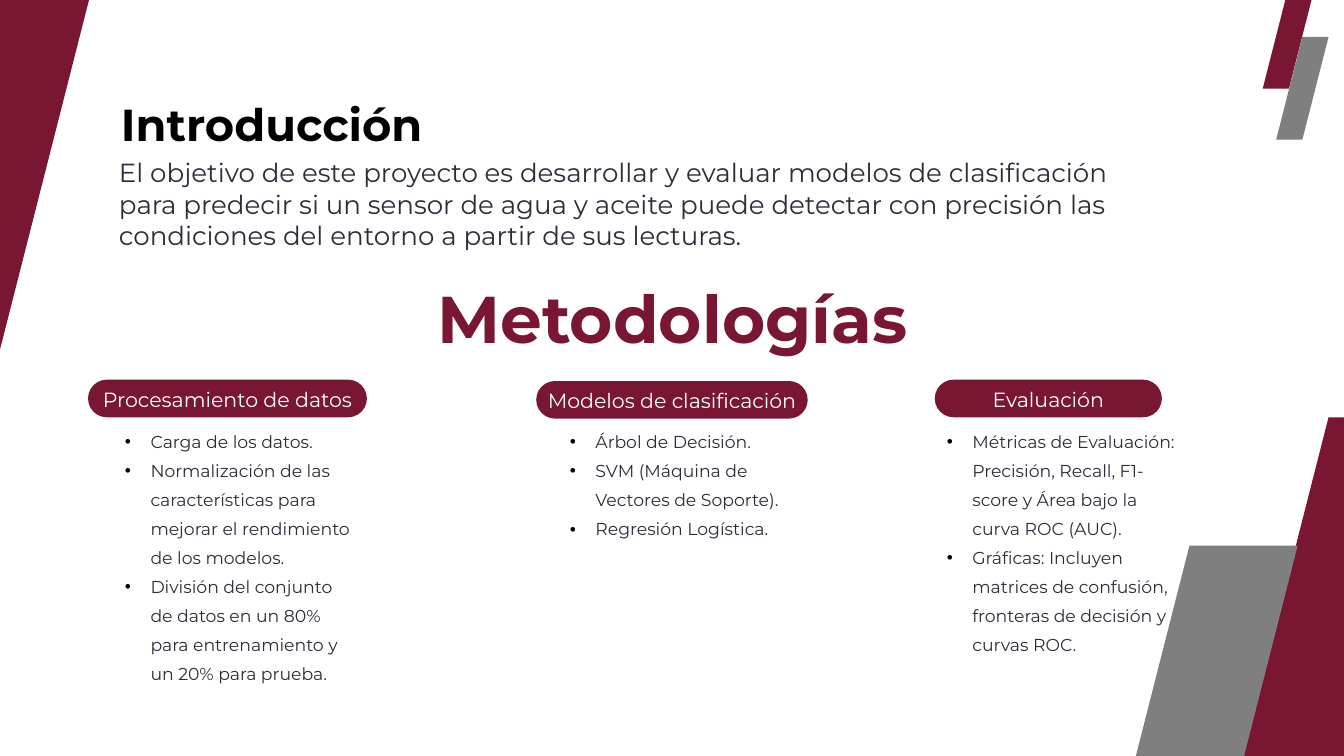
from dataclasses import dataclass

from lxml.etree import SubElement
from pptx import Presentation
from pptx.dml.color import RGBColor
from pptx.enum.shapes import MSO_SHAPE as Shape
from pptx.enum.text import MSO_ANCHOR as Anchor, MSO_AUTO_SIZE as AutoSize, PP_ALIGN as Align
from pptx.oxml.ns import qn
from pptx.util import Inches, Pt


@dataclass(frozen=True)
class Theme:
    font: str = "Montserrat"
    wine: str = "791632"
    gray: str = "7F7F7F"
    ink: str = "2A2E3A"
    black: str = "000000"
    white: str = "FFFFFF"
    title: float = 48
    heading: float = 70.8
    intro: float = 28
    pill: float = 22
    item: float = 18.5


def apply(target, values):
    for name, value in values.items():
        setattr(target, name, value)


class SlideBuilder:
    def __init__(self, page, theme):
        self.page = page
        self.theme = theme

    def place(self, box, left, top, width, height):
        apply(box, {"left": Inches(left), "top": Inches(top),
                    "width": Inches(width), "height": Inches(height)})

    def set_text(self, box, lines, size, color, bold=False, align=Align.LEFT, spacing=1.0,
                 margins=(0, 0, 0, 0), anchor=Anchor.TOP, fit=AutoSize.SHAPE_TO_FIT_TEXT,
                 bullet=None):
        frame = box.text_frame
        left, top, right, bottom = map(Inches, margins)
        apply(frame, {"text": "\n".join(lines), "word_wrap": True, "auto_size": fit,
                      "vertical_anchor": anchor, "margin_left": left, "margin_top": top,
                      "margin_right": right, "margin_bottom": bottom})
        for para in frame.paragraphs:
            apply(para, {"alignment": align, "line_spacing": spacing,
                         "space_before": Pt(0), "space_after": Pt(0)})
            self.mark(para, bullet)
            for span in para.runs:
                apply(span.font, {"name": self.theme.font, "size": Pt(size), "bold": bold})
                span.font.color.rgb = RGBColor.from_string(color)

    def mark(self, para, bullet):
        properties = para._p.get_or_add_pPr()
        indent = Inches(0.38) if bullet else 0
        properties.set("marL", str(indent))
        properties.set("indent", str(-indent))
        if bullet:
            tint = SubElement(properties, qn("a:buClr"))
            SubElement(tint, qn("a:srgbClr"), val=self.theme.black)
            SubElement(properties, qn("a:buFont"), typeface="Arial")
            SubElement(properties, qn("a:buChar"), char=bullet)
        else:
            SubElement(properties, qn("a:buNone"))

    def shape(self, kind, area, color):
        box = self.page.shapes.add_shape(kind, *map(Inches, area))
        box.adjustments[0] = 0.5
        box.shadow.inherit = False
        box.fill.solid()
        box.fill.fore_color.rgb = RGBColor.from_string(color)
        box.line.fill.background()
        return box

    def stripe(self, area, color):
        self.shape(Shape.PARALLELOGRAM, area, color)

    def pill(self, label, area):
        box = self.shape(Shape.ROUNDED_RECTANGLE, area, self.theme.wine)
        self.set_text(box, [label], self.theme.pill, self.theme.white, align=Align.CENTER,
                      spacing=1.3, margins=(0, 0, 0, 0.09), anchor=Anchor.MIDDLE,
                      fit=AutoSize.NONE)

    def title(self, text, area):
        box = self.page.shapes.title
        self.place(box, *area)
        self.set_text(box, [text], self.theme.title, self.theme.black, bold=True, spacing=1.2)

    def intro(self, box, text, area):
        self.place(box, *area)
        self.set_text(box, [text], self.theme.intro, self.theme.ink,
                      margins=(0.1, 0.05, 0.1, 0.05))

    def heading(self, text, area):
        box = self.page.shapes.add_textbox(*map(Inches, area))
        self.set_text(box, [text], self.theme.heading, self.theme.wine, bold=True,
                      align=Align.CENTER, spacing=1.2)

    def bullets(self, box, items, area):
        self.place(box, *area)
        self.set_text(box, items, self.theme.item, self.theme.ink, spacing=1.4, bullet="•")


def main():
    theme = Theme()
    deck = Presentation()
    apply(deck, {"slide_width": Inches(20), "slide_height": Inches(11.25)})
    page = deck.slides.add_slide(deck.slide_layouts.get_by_name("Comparison"))
    builder = SlideBuilder(page, theme)
    intro_box, *list_boxes = list(page.placeholders)[1:]

    large, small = (3.22, 6.32), (0.78, 1.53)
    stripes = [
        (18.16, 6.21, large, theme.wine),
        (-1.5, -0.69, (3, 5.89), theme.wine),
        (18.79, -0.21, small, theme.wine),
        (18.99, 0.55, small, theme.gray),
        (16.09, 8.12, large, theme.gray),
    ]
    for left, top, size, color in stripes:
        builder.stripe((left, top, *size), color)

    builder.title("Introducción", (1.8, 1.28, 10.08, 0.97))
    builder.intro(
        intro_box,
        "El objetivo de este proyecto es desarrollar y evaluar modelos de clasificación para "
        "predecir si un sensor de agua y aceite puede detectar con precisión las condiciones "
        "del entorno a partir de sus lecturas.",
        (1.67, 2.28, 15.67, 1.51))
    builder.heading("Metodologías", (6.35, 3.89, 7.31, 1.43))

    columns = [
        ("Procesamiento de datos", (1.31, 5.65, 4.15, 0.56), (1.86, 6.29, 3.4, 3.92), [
            "Carga de los datos.",
            "Normalización de las características para mejorar el rendimiento de los modelos.",
            "División del conjunto de datos en un 80% para entrenamiento y un 20% para prueba.",
        ]),
        ("Modelos de clasificación", (7.98, 5.67, 4.04, 0.56), (8.48, 6.3, 3.4, 1.74), [
            "Árbol de Decisión.",
            "SVM (Máquina de Vectores de Soporte).",
            "Regresión Logística.",
        ]),
        ("Evaluación", (13.91, 5.65, 3.38, 0.56), (14.09, 6.29, 3.4, 3.82), [
            "Métricas de Evaluación: Precisión, Recall, F1-score y Área bajo la curva ROC (AUC).",
            "Gráficas: Incluyen matrices de confusión, fronteras de decisión y curvas ROC.",
        ]),
    ]
    for box, (label, pill_area, list_area, items) in zip(list_boxes, columns):
        builder.pill(label, pill_area)
        builder.bullets(box, items, list_area)

    deck.save("out.pptx")


if __name__ == "__main__":
    main()
